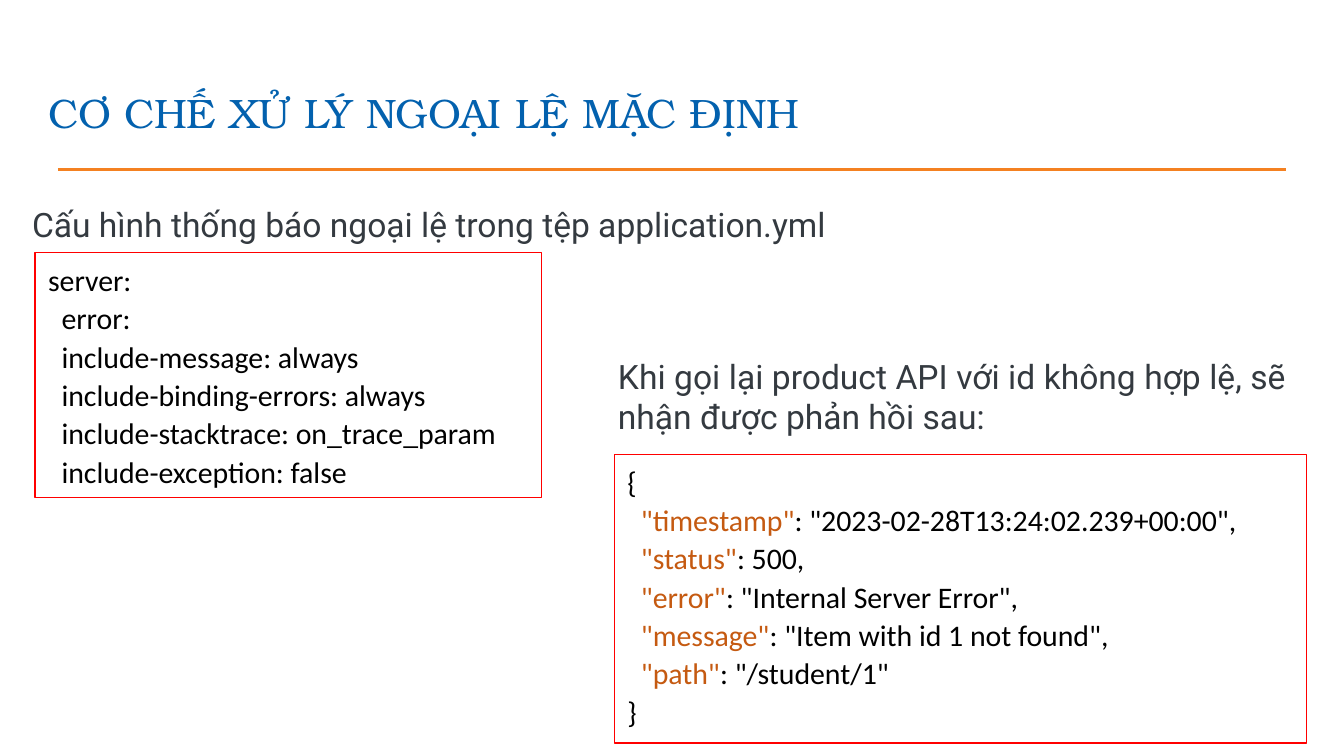
import pptx
import pptx.util
import pptx.dml.color
import pptx.enum.shapes
import pptx.enum.text
import pptx.oxml
from dataclasses import dataclass


@dataclass(frozen=True)
class Theme:
    title: tuple = ("TeX Gyre Bonum", 22, "0361AE")
    body: tuple = ("Roboto", 18, "343A40")
    code: tuple = ("Calibri", 16, "000000")
    key: tuple = ("Calibri", 16, "C55A11")
    rule: str = "F48121"
    border: str = "FF0000"


THEME = Theme()

SERVER_CONFIG = [
    [("server:", THEME.code)],
    [("  error:", THEME.code)],
] + [
    [(f"  include-{name}: {value}", THEME.code)]
    for name, value in [
        ("message", "always"),
        ("binding-errors", "always"),
        ("stacktrace", "on_trace_param"),
        ("exception", "false"),
    ]
]

RESPONSE_FIELDS = [
    ("timestamp", '"2023-02-28T13:24:02.239+00:00",'),
    ("status", "500,"),
    ("error", '"Internal Server Error",'),
    ("message", '"Item with id 1 not found",'),
    ("path", '"/student/1"'),
]

ERROR_RESPONSE = (
    [[("{", THEME.code)]]
    + [
        [(f'  "{name}"', THEME.key), (f": {value}", THEME.code)]
        for name, value in RESPONSE_FIELDS
    ]
    + [[("}", THEME.code)]]
)


def inches(*lengths):
    return [pptx.util.Inches(length) for length in lengths]


def color(value):
    return pptx.dml.color.RGBColor.from_string(value)


def set_attributes(target, values):
    for name, value in values.items():
        setattr(target, name, value)


def write_text(shape, lines, paragraph_format, frame_format):
    frame = shape.text_frame
    set_attributes(frame, {"word_wrap": True, **frame_format})
    for index, line in enumerate(lines):
        paragraph = frame.add_paragraph() if index else frame.paragraphs[0]
        set_attributes(paragraph, paragraph_format)
        for text, (name, size, font_color) in line:
            run = paragraph.add_run()
            run.text = text
            set_attributes(run.font, {"name": name, "size": pptx.util.Pt(size)})
            run.font.color.rgb = color(font_color)


def add_header(slide, left, top, width, height, text):
    rule_top = top + height + 0.14
    rule = slide.shapes.add_connector(
        pptx.enum.shapes.MSO_CONNECTOR.STRAIGHT,
        *inches(left + 0.17, rule_top, left + width - 0.01, rule_top))
    rule.line.color.rgb = color(THEME.rule)
    rule.line.width = pptx.util.Pt(1.5)
    rule._element.spPr.append(pptx.oxml.parse_xml(
        '<a:effectLst xmlns:a="http://schemas.openxmlformats.org/drawingml/2006/main"/>'
    ))
    title = slide.shapes.add_textbox(*inches(left, top, width, height))
    margins = {f"margin_{side}": pptx.util.Inches(0.1)
               for side in ("left", "top", "right", "bottom")}
    write_text(title, [[(text, THEME.title)]], {}, {
        "vertical_anchor": pptx.enum.text.MSO_ANCHOR.BOTTOM, **margins})


def add_note(slide, left, top, width, height, text, spacing):
    note = slide.shapes.add_textbox(*inches(left, top, width, height))
    write_text(note, [[(text, THEME.body)]], {
        "alignment": pptx.enum.text.PP_ALIGN.JUSTIFY, **spacing}, {})


def add_code_box(slide, left, top, width, height, lines):
    box = slide.shapes.add_shape(
        pptx.enum.shapes.MSO_SHAPE.RECTANGLE, *inches(left, top, width, height))
    box.shadow.inherit = False
    box.fill.background()
    box.line.color.rgb = color(THEME.border)
    box.line.width = pptx.util.Pt(0.75)
    write_text(
        box, lines,
        {"alignment": pptx.enum.text.PP_ALIGN.LEFT, "line_spacing": 1.07},
        {"vertical_anchor": pptx.enum.text.MSO_ANCHOR.TOP})


def main():
    presentation = pptx.Presentation()
    presentation.slide_width = pptx.util.Inches(10)
    presentation.slide_height = presentation.slide_width * 9 // 16
    slide = presentation.slides.add_slide(presentation.slide_layouts[6])

    add_header(slide, 0.26, 0.49, 9.32, 0.63, "CƠ CHẾ XỬ LÝ NGOẠI LỆ MẶC ĐỊNH")
    add_note(slide, 0.14, 1.41, 9.53, 0.44,
             "Cấu hình thống báo ngoại lệ trong tệp application.yml",
             {"line_spacing": 1.2, "space_after": pptx.util.Pt(6)})
    add_code_box(slide, 4.57, 3.38, 5.15, 2.15, ERROR_RESPONSE)
    add_code_box(slide, 0.26, 1.88, 3.77, 1.82, SERVER_CONFIG)
    add_note(slide, 4.5, 2.6, 5.17, 0.71,
             "Khi gọi lại product API với id không hợp lệ, sẽ nhận được phản hồi sau:",
             {})

    presentation.save("out.pptx")


if __name__ == "__main__":
    main()
